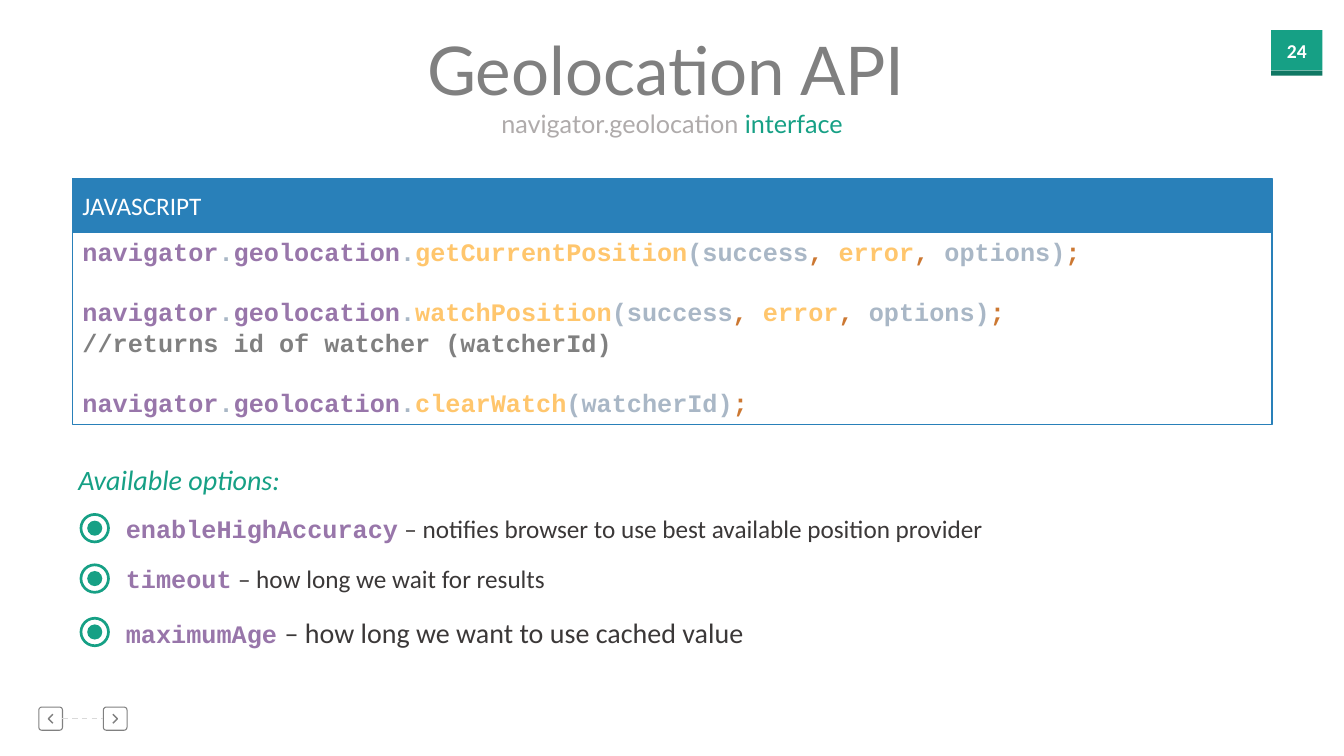
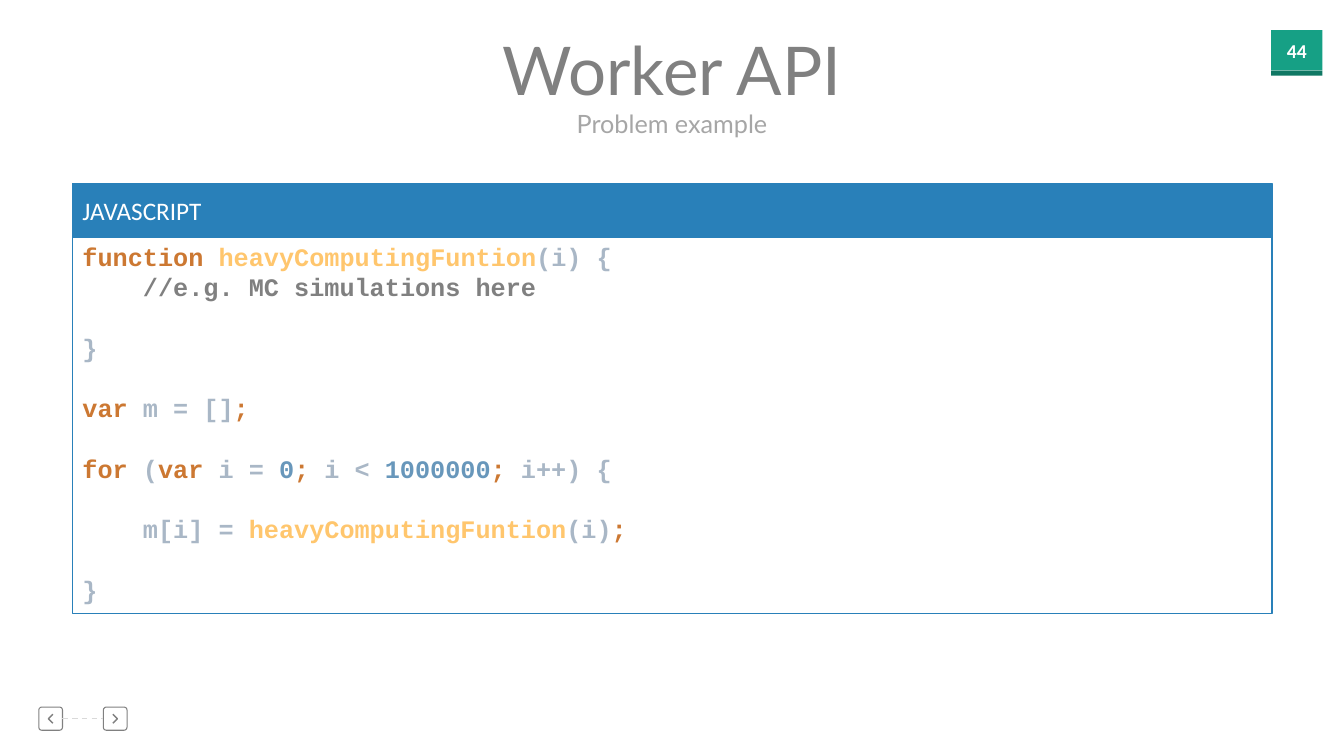
from pptx import Presentation
from pptx.dml.color import RGBColor
from pptx.enum.dml import MSO_LINE
from pptx.enum.shapes import MSO_CONNECTOR, MSO_SHAPE
from pptx.enum.text import MSO_ANCHOR, PP_ALIGN
from pptx.oxml.ns import qn
from pptx.util import Inches, Pt
from lxml import etree

RECTANGLE, ROUNDED = MSO_SHAPE.RECTANGLE, MSO_SHAPE.ROUNDED_RECTANGLE
OVAL, DONUT = MSO_SHAPE.OVAL, MSO_SHAPE.DONUT
LEFT, CENTER = PP_ALIGN.LEFT, PP_ALIGN.CENTER
TOP, MIDDLE = MSO_ANCHOR.TOP, MSO_ANCHOR.MIDDLE

WHITE = RGBColor(0xFF, 0xFF, 0xFF)
GREEN = RGBColor(0x16, 0xA0, 0x85)
DARK_GREEN = RGBColor(0x10, 0x78, 0x64)
BLUE = RGBColor(0x29, 0x80, 0xB9)
GRAY = RGBColor(0x80, 0x80, 0x80)
SILVER = RGBColor(0xAF, 0xAB, 0xAB)
MID_GRAY = RGBColor(0xA6, 0xA6, 0xA6)
PALE_GRAY = RGBColor(0xD9, 0xD9, 0xD9)
CHARCOAL = RGBColor(0x3B, 0x38, 0x38)
PURPLE = RGBColor(0x98, 0x76, 0xAA)
PLAIN = RGBColor(0xA9, 0xB7, 0xC6)
YELLOW = RGBColor(0xFF, 0xC6, 0x6D)
ORANGE = RGBColor(0xCC, 0x78, 0x32)
NUMBER_BLUE = RGBColor(0x68, 0x97, 0xBB)

TITLE = {"name": "Lato", "size": Pt(48)}
SUBTITLE = {"name": "Lato", "size": Pt(18)}
PAGE_NUMBER = {"name": "Calibri", "size": Pt(14), "bold": True}
BODY = {"name": "Calibri", "size": Pt(18)}
BODY_LARGE = {"name": "Calibri", "size": Pt(20)}
LEAD = {"name": "Calibri", "size": Pt(20), "italic": True}
CODE = {"name": "Courier New", "size": Pt(18), "bold": True}

# The slide is a grid of 160 columns by 90 rows of square cells.
COLUMNS, ROWS = 160, 90
CELL = Inches(40 / 3) / COLUMNS
CODE_PITCH = Pt(21.6)
CODE_CHARACTER = Pt(10.8)
PANEL_LEFT, PANEL_WIDTH = 8.64, 142.8
HEADER_HEIGHT, BODY_OFFSET = 6.48, 6.3
CODE_ROW, CODE_PADDING = 3.64, 1.2
BUTTON_TOP, BUTTON_WIDTH, BUTTON_HEIGHT = 84.18, 2.82, 2.76
CHEVRON_X, CHEVRON_Y = 0.27, 0.54
ICON_LEFT, ICON_SIZE, DOT_SIZE = 9.48, 3.6, 1.8

# A code line is: blank lines before it, characters of indent, coloured pieces.
GEOLOCATION = [("navigator", PURPLE), (".", PLAIN), ("geolocation", PURPLE), (".", PLAIN)]
CALLBACKS = [("(success", PLAIN), (", ", ORANGE), ("error", YELLOW), (", ", ORANGE),
             ("options)", PLAIN), (";", ORANGE)]
GEOLOCATION_CODE = [
    (0, 0, GEOLOCATION + [("getCurrentPosition", YELLOW)] + CALLBACKS),
    (1, 0, GEOLOCATION + [("watchPosition", YELLOW)] + CALLBACKS),
    (0, 0, [("//returns id of watcher (watcherId)", GRAY)]),
    (1, 0, GEOLOCATION + [("clearWatch", YELLOW), ("(watcherId)", PLAIN), (";", ORANGE)]),
]
WORKER_CODE = [
    (0, 0, [("function ", ORANGE), ("heavyComputingFuntion", YELLOW), ("(i) {", PLAIN)]),
    (0, 4, [("//e.g. MC simulations here", GRAY)]),
    (1, 0, [("}", PLAIN)]),
    (1, 0, [("var ", ORANGE), ("m = []", PLAIN), (";", ORANGE)]),
    (1, 0, [("for ", ORANGE), ("(", PLAIN), ("var ", ORANGE), ("i = ", PLAIN),
            ("0", NUMBER_BLUE), ("; ", ORANGE), ("i < ", PLAIN), ("1000000", NUMBER_BLUE),
            ("; ", ORANGE), ("i++) {", PLAIN)]),
    (1, 4, [("m[i] = ", PLAIN), ("heavyComputingFuntion", YELLOW), ("(i)", PLAIN),
            (";", ORANGE)]),
    (1, 0, [("}", PLAIN)]),
]

# An option is: icon top, text top, name, explanation, explanation style.
OPTIONS = [
    (61.08, 60.24, "enableHighAccuracy",
     "– notifies browser to use best available position provider", BODY),
    (67.08, 66.12, "timeout", "– how long we wait for results", BODY),
    (73.44, 72, "maximumAge", "– how long we want to use cached value", BODY_LARGE),
]

SLIDES = [
    {"number": "24", "title": "Geolocation API", "title_shift": -0.72,
     "subtitle": [("navigator.geolocation", SILVER, SUBTITLE), (" interface", GREEN, SUBTITLE)],
     "panel_top": 21.24, "code": GEOLOCATION_CODE, "options": OPTIONS},
    {"number": "44", "title": "Worker API", "title_shift": 0,
     "subtitle": [("Problem example", MID_GRAY, SUBTITLE)],
     "panel_top": 21.84, "code": WORKER_CODE, "options": []},
]


def add_block(slide, kind, box, fill=None, line=None, anchor=MIDDLE):
    """Add a preset shape, or a text box if kind is None; box is in grid cells."""
    place = [round(value * CELL) for value in box]
    if kind is None:
        shape = slide.shapes.add_textbox(*place)
    else:
        shape = slide.shapes.add_shape(kind, *place)
        shape.shadow.inherit = False
    for part, colour in ((shape.fill, fill), (shape.line.fill, line)):
        if colour is None:
            part.background()
        else:
            part.solid()
            part.fore_color.rgb = colour
    if line is not None:
        shape.line.width = Pt(0.75)
    shape.text_frame.word_wrap = True
    shape.text_frame.vertical_anchor = anchor
    return shape


def write(paragraph, runs, alignment=LEFT):
    """Fill a paragraph with runs of text, colour and style."""
    paragraph.alignment = alignment
    for text, colour, style in runs:
        run = paragraph.add_run()
        run.text = text
        run.font.color.rgb = colour
        for attribute, value in style.items():
            setattr(run.font, attribute, value)


presentation = Presentation()
presentation.slide_width = round(COLUMNS * CELL)
presentation.slide_height = round(ROWS * CELL)

for content in SLIDES:
    slide = presentation.slides.add_slide(presentation.slide_layouts[6])

    # Page number
    badge = add_block(slide, RECTANGLE, (151.32, 3.6, 6.12, 4.8), GREEN)
    badge.text_frame.margin_left = badge.text_frame.margin_right = 0
    write(badge.text_frame.paragraphs[0], [(content["number"], WHITE, PAGE_NUMBER)], CENTER)
    add_block(slide, RECTANGLE, (151.32, 8.4, 6.12, 0.6), DARK_GREEN)

    # Navigation buttons, each with a chevron that points outwards
    buttons = []
    for left, direction in ((4.62, -1), (12.3, 1)):
        button = add_block(slide, ROUNDED, (left, BUTTON_TOP, BUTTON_WIDTH, BUTTON_HEIGHT),
                           line=GRAY)
        button.adjustments[0] = 0.13
        buttons.append(button)
        middle_x, middle_y = left + BUTTON_WIDTH / 2, BUTTON_TOP + BUTTON_HEIGHT / 2
        back, tip = middle_x - direction * CHEVRON_X, middle_x + direction * CHEVRON_X
        points = [(round(x * CELL), round(y * CELL)) for x, y in (
            (back, middle_y - CHEVRON_Y), (tip, middle_y), (back, middle_y + CHEVRON_Y))]
        builder = slide.shapes.build_freeform(*points[0])
        builder.add_line_segments(points[1:], close=False)
        chevron = builder.convert_to_shape()
        chevron.shadow.inherit = False
        chevron.fill.background()
        chevron.line.color.rgb = GRAY
        chevron.line.width = Pt(1)
    link = slide.shapes.add_connector(MSO_CONNECTOR.STRAIGHT, 0, 0, 0, 0)
    link.begin_connect(buttons[0], 3)
    link.end_connect(buttons[1], 1)
    link.line.color.rgb = PALE_GRAY
    link.line.width = Pt(1)
    link.line.dash_style = MSO_LINE.DASH
    etree.SubElement(link._element.spPr, qn("a:effectLst"))

    # Title and subtitle
    for box, runs in (
        ((content["title_shift"], 2.76, COLUMNS, 10.92), [(content["title"], GRAY, TITLE)]),
        ((0, 12.36, COLUMNS, 4.8), content["subtitle"]),
    ):
        heading = add_block(slide, None, box, anchor=TOP)
        write(heading.text_frame.paragraphs[0], runs, CENTER)

    # Code panel
    code, panel_top = content["code"], content["panel_top"]
    line_count = sum(blanks + 1 for blanks, indent, pieces in code)
    panel = add_block(slide, RECTANGLE,
                      (PANEL_LEFT, panel_top + BODY_OFFSET, PANEL_WIDTH,
                       line_count * CODE_ROW + CODE_PADDING), WHITE, BLUE, TOP)
    for index, (blanks, indent, pieces) in enumerate(code):
        frame = panel.text_frame
        paragraph = frame.add_paragraph() if index else frame.paragraphs[0]
        paragraph.line_spacing = CODE_PITCH
        paragraph.space_before = blanks * CODE_PITCH
        paragraph._p.get_or_add_pPr().set("marL", str(indent * CODE_CHARACTER))
        write(paragraph, [(text, colour, CODE) for text, colour in pieces])
    header = add_block(slide, RECTANGLE, (PANEL_LEFT, panel_top, PANEL_WIDTH, HEADER_HEIGHT),
                       BLUE, BLUE)
    write(header.text_frame.paragraphs[0], [("JAVASCRIPT", WHITE, BODY)])

    # Options
    if content["options"]:
        lead = add_block(slide, None, (8.16, 54.48, 40, 5.28), anchor=TOP)
        write(lead.text_frame.paragraphs[0], [("Available options:", GREEN, LEAD)])
    for icon_top, text_top, name, explanation, style in content["options"]:
        ring = add_block(slide, DONUT, (ICON_LEFT, icon_top, ICON_SIZE, ICON_SIZE), GREEN)
        ring.adjustments[0] = 0.09
        inset = (ICON_SIZE - DOT_SIZE) / 2
        add_block(slide, OVAL, (ICON_LEFT + inset, icon_top + inset, DOT_SIZE, DOT_SIZE), GREEN)
        option = add_block(slide, None, (13.8, text_top, 106, 5.28), anchor=TOP)
        space = {**style, "size": style["size"] + Pt(2 if style is BODY else 4)}
        write(option.text_frame.paragraphs[0],
              [(name, PURPLE, CODE), (" ", CHARCOAL, space), (explanation, CHARCOAL, style)])

presentation.save("out.pptx")
